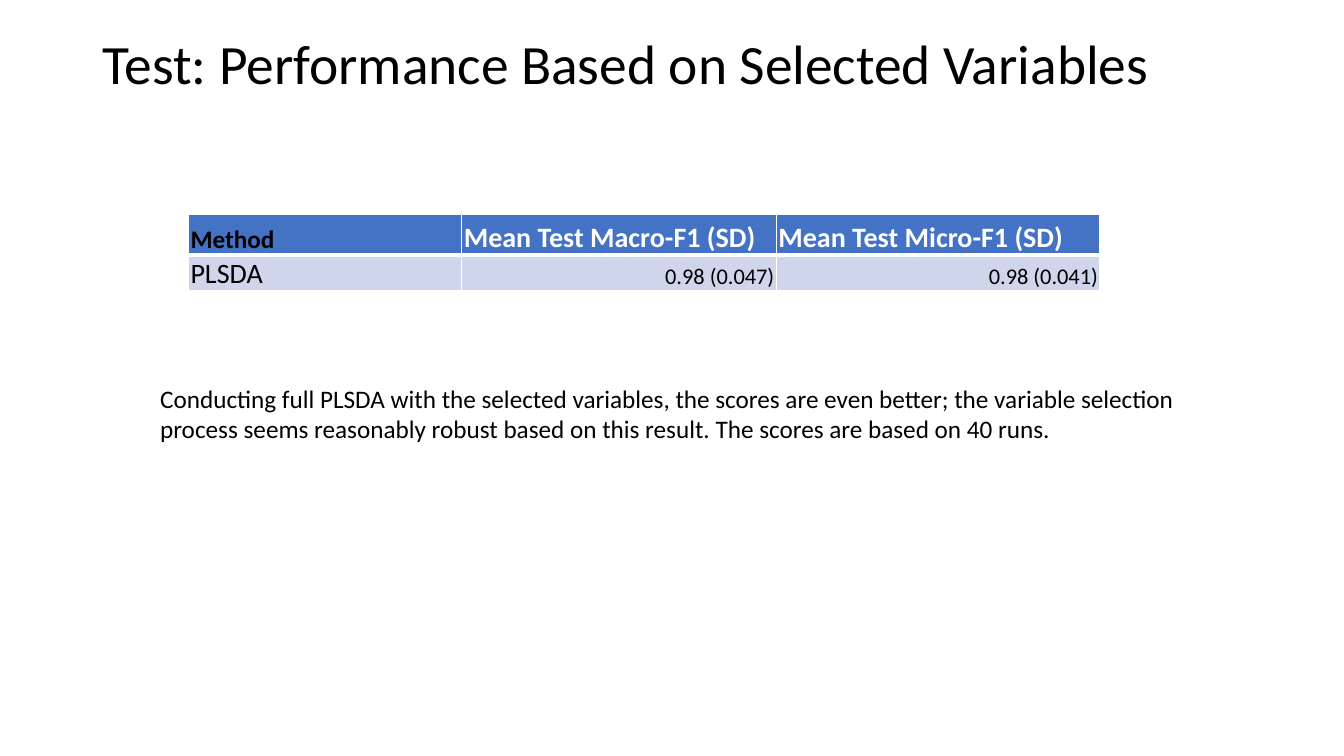
import dataclasses

import pptx
import pptx.dml.color
import pptx.enum.text
import pptx.oxml
import pptx.oxml.ns
import pptx.util

Inches = pptx.util.Inches
Align = pptx.enum.text.PP_ALIGN
Anchor = pptx.enum.text.MSO_ANCHOR


@dataclasses.dataclass(frozen=True)
class Theme:
    font: str = "Calibri"
    black: str = "000000"
    white: str = "FFFFFF"
    header_fill: str = "4472C4"
    body_fill: str = "CFD5EA"
    title: float = 39.6
    heading: float = 20
    text: float = 18
    score: float = 16


THEME = Theme()


def rgb(value):
    return pptx.dml.color.RGBColor.from_string(value)


def add_span(para, text, size, color=THEME.black, bold=False):
    span = para.add_run()
    span.text = text
    span.font.name = THEME.font
    span.font.size = pptx.util.Pt(size)
    span.font.bold = bold
    span.font.color.rgb = rgb(color)


def add_text(page, left, top, width, height, text, size, anchor=Anchor.TOP, spacing=1.0):
    box = page.shapes.add_textbox(Inches(left), Inches(top), Inches(width), Inches(height))
    frame = box.text_frame
    frame.word_wrap = True
    frame.vertical_anchor = anchor
    para = frame.paragraphs[0]
    para.line_spacing = spacing
    add_span(para, text, size)


def set_borders(cell, widths):
    properties = cell._tc.get_or_add_tcPr()
    for index, (side, points) in enumerate(widths.items()):
        line = pptx.oxml.parse_xml(
            f'<a:ln{side} {pptx.oxml.ns.nsdecls("a")} w="{pptx.util.Pt(points)}">'
            f'<a:solidFill><a:srgbClr val="{THEME.white}"/></a:solidFill></a:ln{side}>'
        )
        properties.insert(index, line)


def fill_cell(cell, text, size, color, bold, align, fill, bottom_border):
    cell.fill.solid()
    cell.fill.fore_color.rgb = rgb(fill)
    cell.vertical_anchor = Anchor.BOTTOM
    cell.margin_left = cell.margin_right = cell.margin_top = Inches(0.02)
    cell.margin_bottom = Inches(0)
    para = cell.text_frame.paragraphs[0]
    para.alignment = align
    add_span(para, text, size, color, bold)
    set_borders(cell, {"L": 1, "R": 1, "T": 1, "B": bottom_border})


def add_score_table(page, left, top, column_widths, row_heights, header, scores):
    table = page.shapes.add_table(
        len(row_heights), len(column_widths), Inches(left), Inches(top),
        Inches(sum(column_widths)), Inches(sum(row_heights)),
    ).table
    for column, width in zip(table.columns, column_widths):
        column.width = Inches(width)
    for row, height in zip(table.rows, row_heights):
        row.height = Inches(height)
    for index, (heading, score) in enumerate(zip(header, scores)):
        first = index == 0
        fill_cell(
            table.cell(0, index), heading,
            THEME.text if first else THEME.heading,
            THEME.black if first else THEME.white,
            True, Align.LEFT, THEME.header_fill, 3,
        )
        fill_cell(
            table.cell(1, index), score,
            THEME.heading if first else THEME.score,
            THEME.black, False, Align.LEFT if first else Align.RIGHT,
            THEME.body_fill, 1,
        )


def main():
    deck = pptx.Presentation()
    deck.slide_width = Inches(13.33)
    deck.slide_height = Inches(7.5)
    page = deck.slides.add_slide(deck.slide_layouts[6])
    add_text(
        page, 0.92, 0.4, 11.5, 0.52, "Test: Performance Based on Selected Variables",
        THEME.title, Anchor.MIDDLE, 0.9,
    )
    add_text(
        page, 1.49, 3.75, 10.35, 0.71,
        "Conducting full PLSDA with the selected variables, the scores are even better; "
        "the variable selection process seems reasonably robust based on this result. "
        "The scores are based on 40 runs.",
        THEME.text,
    )
    add_score_table(
        page, 1.87, 2.13, (2.71, 3.12, 3.21), (0.4, 0.35),
        ("Method", "Mean Test Macro-F1 (SD)", "Mean Test Micro-F1 (SD)"),
        ("PLSDA", "0.98 (0.047)", "0.98 (0.041)"),
    )
    deck.save("out.pptx")


if __name__ == "__main__":
    main()
